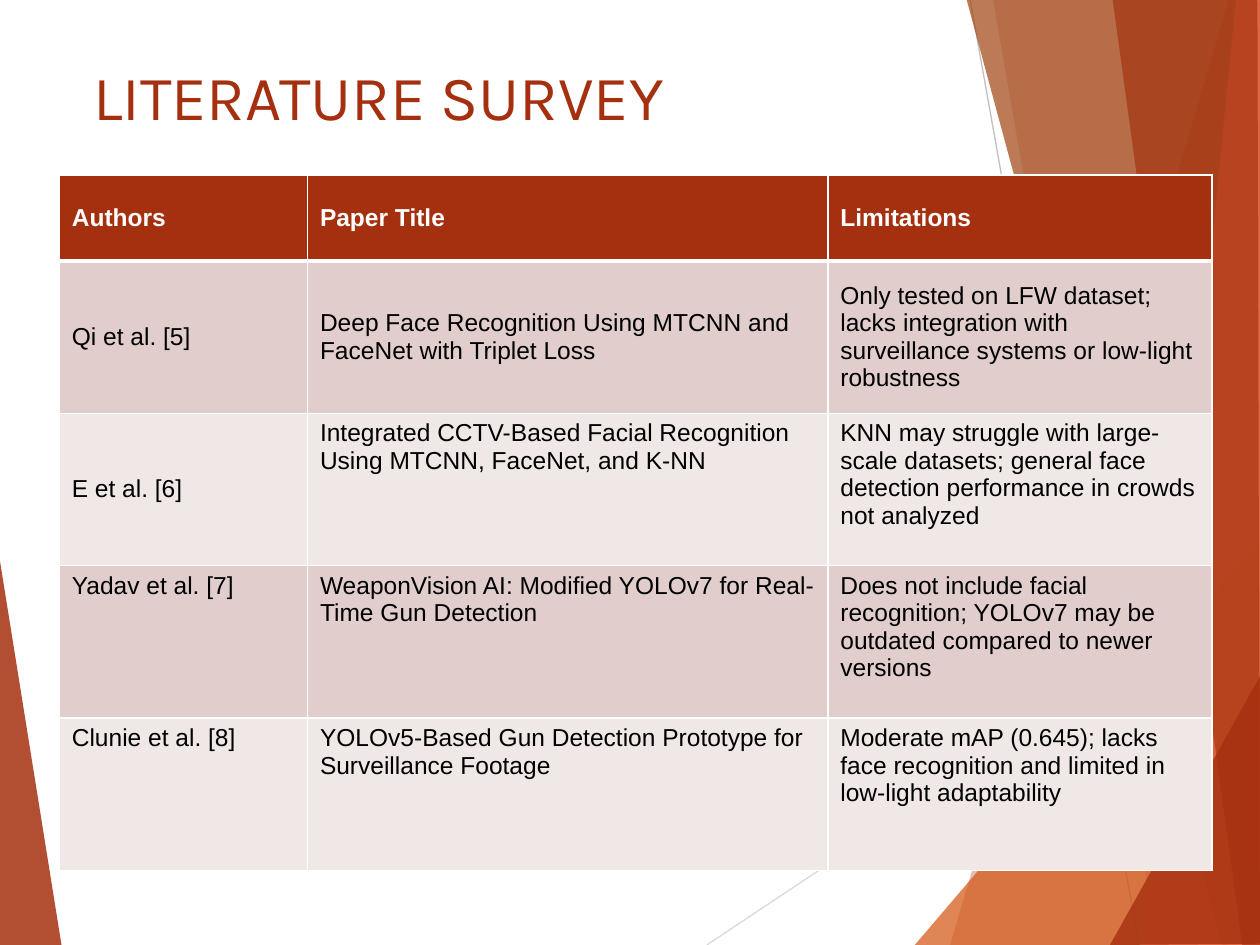
from dataclasses import dataclass
from lxml.etree import SubElement as Sub
from pptx import Presentation
from pptx.dml.color import RGBColor as RGB
from pptx.enum.shapes import MSO_CONNECTOR as Conn
from pptx.enum.text import MSO_ANCHOR as Anchor
from pptx.oxml.ns import qn
from pptx.util import Inches, Pt


@dataclass(frozen=True)
class Theme:
    """Colours, fonts and type sizes."""
    rust: str = "A5300F"
    orange: str = "D55816"
    brown: str = "A04210"
    coral: str = "EE6E4A"
    pale: str = "D9D9D9"
    grey: str = "BFBFBF"
    white: str = "FFFFFF"
    black: str = "000000"
    bands: tuple = ("E1CDCC", "F0E8E7")
    head: str = "Karla"
    body: str = "Arial"
    big: int = 36
    small: int = 14


T = Theme()

LEFT = (T.rust, 85, [(-0.01, 4.39), (0.49, 7.51), (-0.01, 7.5)])
LINES = [
    (T.pale, (5.61, 7.5), (10.01, 4.57)),
    (T.grey, (7.7, 0), (9.04, 7.5)),
]
FACETS = [
    (T.rust, 30, [(9.75, 0), (7.54, 7.5), (10.02, 7.51), (10.01, 0.01)]),
    (T.rust, 20, [(7.88, -0.01), (9.19, 7.5), (10.01, 7.5), (10.01, -0.01)]),
    (T.orange, 72, [(7.26, 7.5), (10, 4.29), (10.01, 7.5)]),
    (T.brown, 70, [(7.67, -0.01), (9.7, 7.5), (10.01, 7.49), (10.01, -0.01)]),
    (T.coral, 70, [(9.81, -0.01), (9.07, 7.5), (10.01, 7.5), (10, -0.01)]),
    (T.rust, 65, [(8.83, -0.01), (9.86, 7.5), (10, 7.5), (9.98, -0.01)]),
    (T.rust, 80, [(8.81, 7.5), (10.01, 5.35), (10.01, 7.49)]),
]

COLS = [1.97, 4.13, 3.05]
ROWS = [0.68] + [1.21] * 4
MIDDLE = [3, 3, 1, 0, 0]
PAPERS = [
    ("Authors", "Paper Title", "Limitations"),
    ("Qi et al. [5]",
     "Deep Face Recognition Using MTCNN and FaceNet with Triplet Loss",
     "Only tested on LFW dataset; lacks integration with surveillance "
     "systems or low-light robustness"),
    ("E et al. [6]",
     "Integrated CCTV-Based Facial Recognition Using MTCNN, FaceNet, and K-NN",
     "KNN may struggle with large-scale datasets; general face detection "
     "performance in crowds not analyzed"),
    ("Yadav et al. [7]",
     "WeaponVision AI: Modified YOLOv7 for Real-Time Gun Detection",
     "Does not include facial recognition; YOLOv7 may be outdated compared "
     "to newer versions"),
    ("Clunie et al. [8]",
     "YOLOv5-Based Gun Detection Prototype for Surveillance Footage",
     "Moderate mAP (0.645); lacks face recognition and limited in low-light "
     "adaptability"),
]


def add_facet(slide, color, alpha, points):
    """Draw one translucent polygon."""
    first, *rest = [(Inches(x), Inches(y)) for x, y in points]
    pen = slide.shapes.build_freeform(*first)
    pen.add_line_segments(rest, close=True)
    shape = pen.convert_to_shape()
    shape.shadow.inherit = False
    shape.fill.solid()
    shape.fill.fore_color.rgb = RGB.from_string(color)
    shape.line.fill.background()
    tint = shape.fill._xPr.find(f".//{qn('a:srgbClr')}")
    Sub(tint, qn("a:alpha"), val=str(alpha * 1000))


def add_line(slide, color, start, end):
    """Draw one thin straight line."""
    ends = [Inches(v) for v in start + end]
    line = slide.shapes.add_connector(Conn.STRAIGHT, *ends)
    line.line.color.rgb = RGB.from_string(color)
    line.line.width = Pt(0.75)
    Sub(line._element.spPr, qn("a:effectLst"))


def set_font(para, name, size, color, bold=False):
    """Style a whole paragraph."""
    font = para.font
    font.name, font.size, font.bold = name, Pt(size), bold
    font.color.rgb = RGB.from_string(color)


def add_title(slide, text):
    """Place the slide heading."""
    box = slide.shapes.add_textbox(
        Inches(0.64), Inches(0.36), Inches(6.94), Inches(1.44))
    frame = box.text_frame
    frame.word_wrap = True
    frame.margin_top = Inches(0.1)
    frame.text = text
    set_font(frame.paragraphs[0], T.head, T.big, T.rust)


def add_edge(cell, side, width):
    """Give a cell one white border."""
    edge = Sub(cell._tc.get_or_add_tcPr(), qn(f"a:ln{side}"),
               w=str(Pt(width)))
    fill = Sub(edge, qn("a:solidFill"))
    Sub(fill, qn("a:srgbClr"), val=T.white)


def fill_cell(cell, text, row, middle):
    """Write and style one table cell."""
    top = row == 0
    heavy = {0: "B", 1: "T"}.get(row)
    for side in "LRTB":
        add_edge(cell, side, 3 if side == heavy else 1)
    cell.fill.solid()
    color = T.rust if top else T.bands[(row - 1) % 2]
    cell.fill.fore_color.rgb = RGB.from_string(color)
    cell.vertical_anchor = Anchor.MIDDLE if middle else Anchor.TOP
    cell.text = text
    set_font(cell.text_frame.paragraphs[0], T.body, T.small,
             T.white if top else T.black, top)


def add_papers(slide):
    """Build the survey table."""
    table = slide.shapes.add_table(
        len(ROWS), len(COLS), Inches(0.47), Inches(1.39),
        Inches(sum(COLS)), Inches(sum(ROWS))).table
    for col, width in zip(table.columns, COLS):
        col.width = Inches(width)
    for r, (height, texts) in enumerate(zip(ROWS, PAPERS)):
        table.rows[r].height = Inches(height)
        for c, text in enumerate(texts):
            fill_cell(table.cell(r, c), text, r, c < MIDDLE[r])


def main():
    """Build and save the slide."""
    deck = Presentation()
    deck.slide_width, deck.slide_height = Inches(10), Inches(7.5)
    slide = deck.slides.add_slide(deck.slide_layouts[6])
    add_facet(slide, *LEFT)
    for line in LINES:
        add_line(slide, *line)
    for facet in FACETS:
        add_facet(slide, *facet)
    add_title(slide, "LITERATURE SURVEY")
    add_papers(slide)
    deck.save("out.pptx")


if __name__ == "__main__":
    main()
